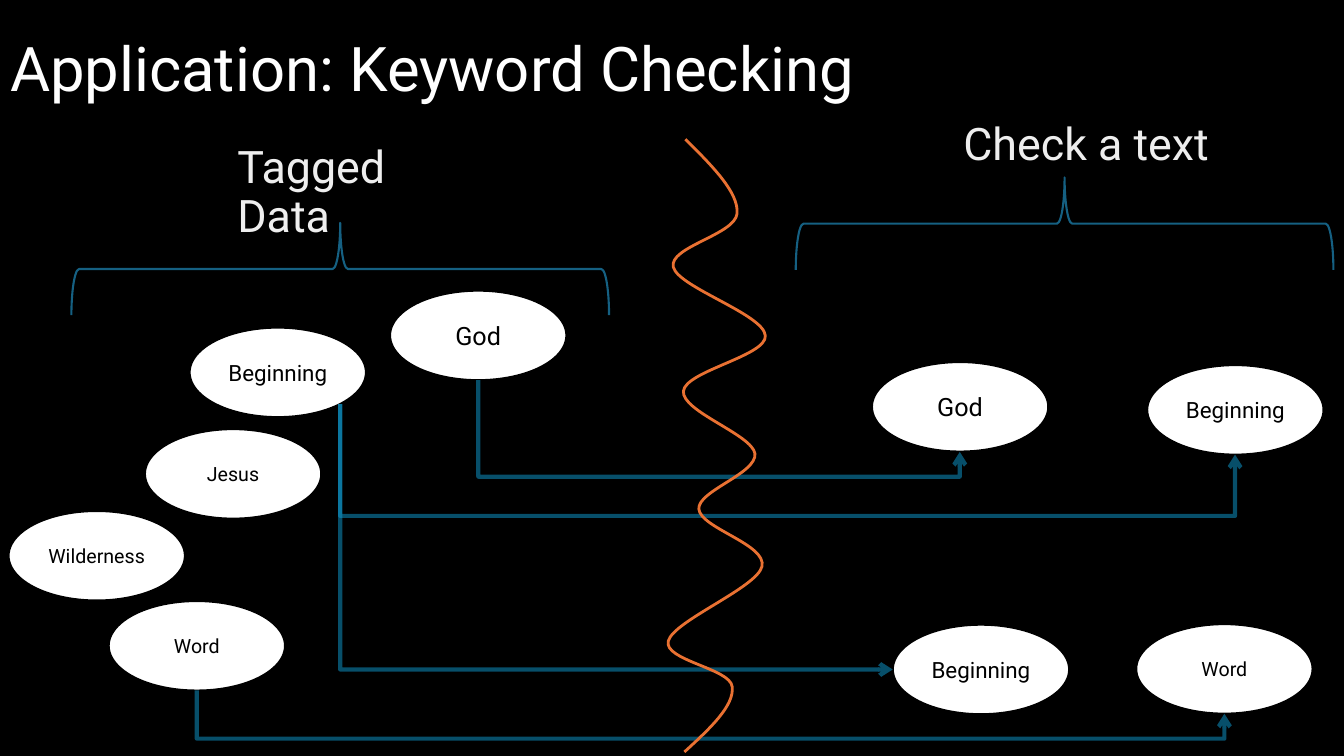
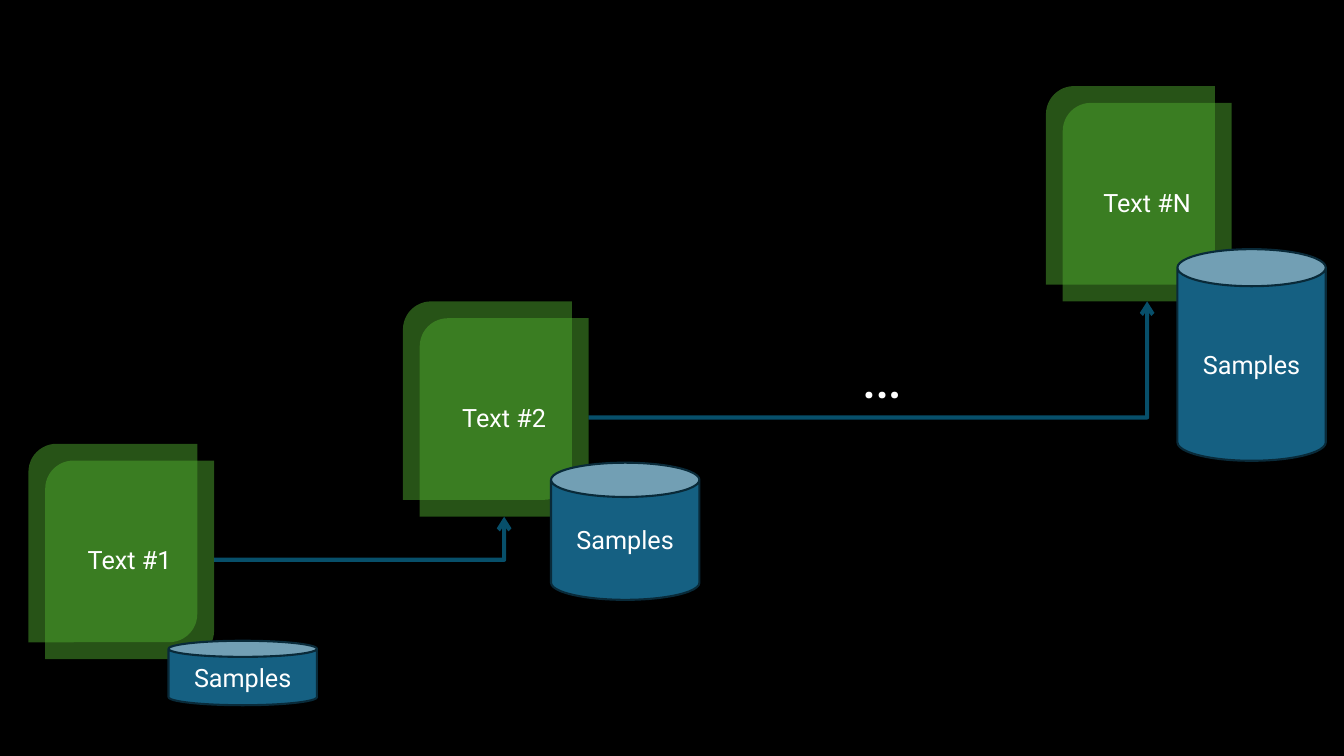
from itertools import pairwise

from lxml.etree import SubElement
from pptx import Presentation
from pptx.dml.color import RGBColor
from pptx.enum.shapes import MSO_CONNECTOR, MSO_SHAPE
from pptx.enum.text import MSO_ANCHOR, PP_ALIGN
from pptx.oxml.ns import qn
from pptx.util import Pt

BLACK = RGBColor(0x00, 0x00, 0x00)
WHITE = RGBColor(0xFF, 0xFF, 0xFF)
PALE_GREY = RGBColor(0xEE, 0xEE, 0xEE)
BLUE = RGBColor(0x15, 0x60, 0x82)
DARK_BLUE = RGBColor(0x09, 0x2A, 0x39)
BRIGHT_BLUE = RGBColor(0x0F, 0x9E, 0xD5)
GREEN = RGBColor(0x4E, 0xA7, 0x2E)
ORANGE = RGBColor(0xE9, 0x71, 0x32)
FONT = "Roboto"
HALF_OPAQUE = "50000"


def write(shape, text, size, color, align=None):
    """Put one middle-anchored paragraph of text in a shape."""
    frame = shape.text_frame
    frame.word_wrap = True
    frame.vertical_anchor = MSO_ANCHOR.MIDDLE
    paragraph = frame.paragraphs[0]
    paragraph.text = text
    paragraph.alignment = align
    if align != PP_ALIGN.CENTER:
        paragraph.line_spacing = 0.9
    paragraph.font.name = FONT
    paragraph.font.size = Pt(size)
    paragraph.font.color.rgb = color


def add_elbow(slide, start, end, down_first=False, bend_y=None):
    """Draw a bent arrow; bend_y makes it a U that turns at that height."""
    connector = slide.shapes.add_connector(
        MSO_CONNECTOR.ELBOW, *(Pt(value) for value in (*start, *end)))
    connector.line.color.rgb = BRIGHT_BLUE
    connector.line.width = Pt(3)
    properties = connector._element.spPr
    color = properties.find(".//" + qn("a:srgbClr"))
    SubElement(color, qn("a:alpha"), val=HALF_OPAQUE)
    SubElement(properties.find(qn("a:ln")), qn("a:tailEnd"), type="arrow")
    SubElement(properties, qn("a:effectLst"))

    geometry = properties.find(qn("a:prstGeom"))
    if bend_y is None:
        geometry.set("prst", "bentConnector2")
    else:
        ratio = (bend_y - start[1]) / (end[1] - start[1])
        SubElement(geometry.find(qn("a:avLst")), qn("a:gd"),
                   name="adj1", fmla=f"val {round(ratio * 100000)}")
    if down_first:
        # A quarter turn swaps width and height around the same centre
        across, down = end[0] - start[0], end[1] - start[1]
        connector.left = Pt((start[0] + end[0] - down) / 2)
        connector.top = Pt((start[1] + end[1] - across) / 2)
        connector.width, connector.height = Pt(down), Pt(across)
        transform = properties.find(qn("a:xfrm"))
        transform.set("rot", "16200000")
        transform.set("flipH", "1")


presentation = Presentation()
presentation.slide_width = Pt(960)
presentation.slide_height = Pt(540)
background = presentation.slide_master.background.fill
background.solid()
background.fore_color.rgb = BLACK
TITLE_ONLY, BLANK = presentation.slide_layouts[5], presentation.slide_layouts[6]

# Slide 1: keyword checking
slide = presentation.slides.add_slide(TITLE_ONLY)
title = slide.shapes.title
title.left, title.top, title.width, title.height = Pt(0), Pt(-1), Pt(828), Pt(104.4)
write(title, "Application: Keyword Checking", 44, WHITE, PP_ALIGN.LEFT)

# Frames of the two checked rows
for top in (208.1, 390.2):
    frame = slide.shapes.add_shape(
        MSO_SHAPE.ROUNDED_RECTANGLE, Pt(626.4), Pt(top), Pt(325.4), Pt(64))
    frame.shadow.inherit = False
    frame.fill.background()
    frame.line.color.rgb = BLACK
    frame.line.width = Pt(2.25)

# Keyword ellipses: tagged ones on the left, found ones on the right
KEYWORD_WIDTH, KEYWORD_HEIGHT = 126, 64
KEYWORD_SIZES = {"God": 18, "Beginning": 16, "Jesus": 14, "Wilderness": 14, "Word": 14}
for text, left, top in [
    ("Beginning", 135.4, 234), ("God", 278.6, 207.6), ("Wilderness", 6.1, 365),
    ("Jesus", 103.5, 306.5), ("Word", 77.6, 429.3),
    ("God", 622.8, 258.6), ("Beginning", 819.4, 260.8),
    ("Beginning", 637.7, 446.2), ("Word", 811.6, 445.8),
]:
    ellipse = slide.shapes.add_shape(
        MSO_SHAPE.OVAL, Pt(left), Pt(top), Pt(KEYWORD_WIDTH), Pt(KEYWORD_HEIGHT))
    ellipse.shadow.inherit = False
    ellipse.fill.solid()
    ellipse.fill.fore_color.rgb = WHITE
    ellipse.line.color.rgb = BLACK
    ellipse.line.width = Pt(1.5)
    write(ellipse, text, KEYWORD_SIZES[text], BLACK, PP_ALIGN.CENTER)

# Arrows from tagged keywords to their matches
for start, end, bend_y in [
    ((243, 288.7), (882.2, 324.7), 368.5),
    ((341.7, 271.5), (685.6, 322.8), 340.5),
    ((140.6, 493.2), (874.6, 509.8), 527.6),
    ((243, 288.7), (637.7, 478.2), None),
]:
    add_elbow(slide, start, end, down_first=True, bend_y=bend_y)

# Headings with braces
for text, left, top, width, brace_left, brace_top in [
    ("Tagged Data", 162.4, 115.6, 181.4, 210, 0.2),
    ("Check a text", 681, 81.4, 233.3, 727.4, -32.2),
]:
    brace = slide.shapes.add_shape(
        MSO_SHAPE.LEFT_BRACE, Pt(brace_left), Pt(brace_top), Pt(66), Pt(384))
    brace.rotation = 90
    brace.shadow.inherit = False
    brace.fill.background()
    brace.line.color.rgb = BLUE
    brace.line.width = Pt(1.5)
    heading = slide.shapes.add_textbox(Pt(left), Pt(top), Pt(width), Pt(45.4))
    write(heading, text, 32, PALE_GREY)

# Wavy divider: each row is two control points and the end of a cubic curve
wave_start = (489.6, 99.4)
wave_curves = [
    ((509, 118.8), (527.8, 137.5), (526.5, 152.6)),
    ((524.9, 167.8), (477.4, 176.4), (481, 190.8)),
    ((484.6, 205.2), (545.8, 224.6), (546.7, 239.8)),
    ((547.9, 254.2), (489.6, 265), (488.2, 279.4)),
    ((486.7, 293.8), (537.1, 310.3), (539.3, 324)),
    ((540.7, 338.4), (498.2, 350.6), (499.2, 363.6)),
    ((500.4, 377.3), (547.9, 388.8), (544.3, 404.6)),
    ((540.7, 419.8), (481, 443.5), (477.4, 457.9)),
    ((473.8, 471.6), (521.3, 477.4), (523, 490.3)),
    ((524.9, 504), (506.9, 520.6), (488.9, 537.1)),
]
builder = slide.shapes.build_freeform(Pt(wave_start[0]), Pt(wave_start[1]))
builder.add_line_segments(
    [(Pt(x), Pt(y)) for curve in wave_curves for x, y in curve], close=False)
wave = builder.convert_to_shape()
wave.shadow.inherit = False
wave.fill.background()
wave.line.color.rgb = ORANGE
wave.line.width = Pt(2)
# Gather every three straight segments into one curve
outline = wave._element.spPr.find(".//" + qn("a:path"))
segments = outline.findall(qn("a:lnTo"))
for first in range(0, len(segments), 3):
    curve = SubElement(outline, qn("a:cubicBezTo"))
    for segment in segments[first:first + 3]:
        curve.append(segment[0])
        outline.remove(segment)

# Slide 2: samples growing from text to text
slide = presentation.slides.add_slide(BLANK)
CARD_WIDTH, CARD_HEIGHT, CARD_OFFSET = 120.6, 141.8, 12
cards = [("Text #1", 20.3, 317), ("Text #2", 287.8, 215.3), ("Text #N", 747.1, 61.5)]

# Stacked cards
for text, left, top in cards:
    group = slide.shapes.add_group_shape()
    for shift in (0, CARD_OFFSET):
        card = group.shapes.add_shape(
            MSO_SHAPE.ROUND_2_DIAG_RECTANGLE, Pt(left + shift), Pt(top + shift),
            Pt(CARD_WIDTH), Pt(CARD_HEIGHT))
        card.shadow.inherit = False
        card.fill.solid()
        card.fill.fore_color.rgb = GREEN
        color = card._element.spPr.find(".//" + qn("a:srgbClr"))
        SubElement(color, qn("a:alpha"), val=HALF_OPAQUE)
        card.line.fill.background()
    write(card, text, 18, WHITE, PP_ALIGN.CENTER)

# Ellipsis for the texts in between
ellipsis = slide.shapes.add_textbox(Pt(608.2), Pt(218.2), Pt(60), Pt(104.4))
write(ellipsis, "…", 44, WHITE)

# Arrows from a front card's right side to the next one's underside
for (_, left, top), (_, next_left, next_top) in pairwise(cards):
    add_elbow(
        slide,
        (left + CARD_OFFSET + CARD_WIDTH, top + CARD_OFFSET + CARD_HEIGHT / 2),
        (next_left + CARD_OFFSET + CARD_WIDTH / 2, next_top + CARD_OFFSET + CARD_HEIGHT))

# Sample stores
for left, top, height in [(120.4, 457.7, 46), (393.6, 330.5, 98), (841, 178, 151.2)]:
    store = slide.shapes.add_shape(MSO_SHAPE.CAN, Pt(left), Pt(top), Pt(106), Pt(height))
    store.shadow.inherit = False
    store.fill.solid()
    store.fill.fore_color.rgb = BLUE
    store.line.color.rgb = DARK_BLUE
    store.line.width = Pt(1.5)
    write(store, "Samples", 18, WHITE, PP_ALIGN.CENTER)

presentation.save("out.pptx")
